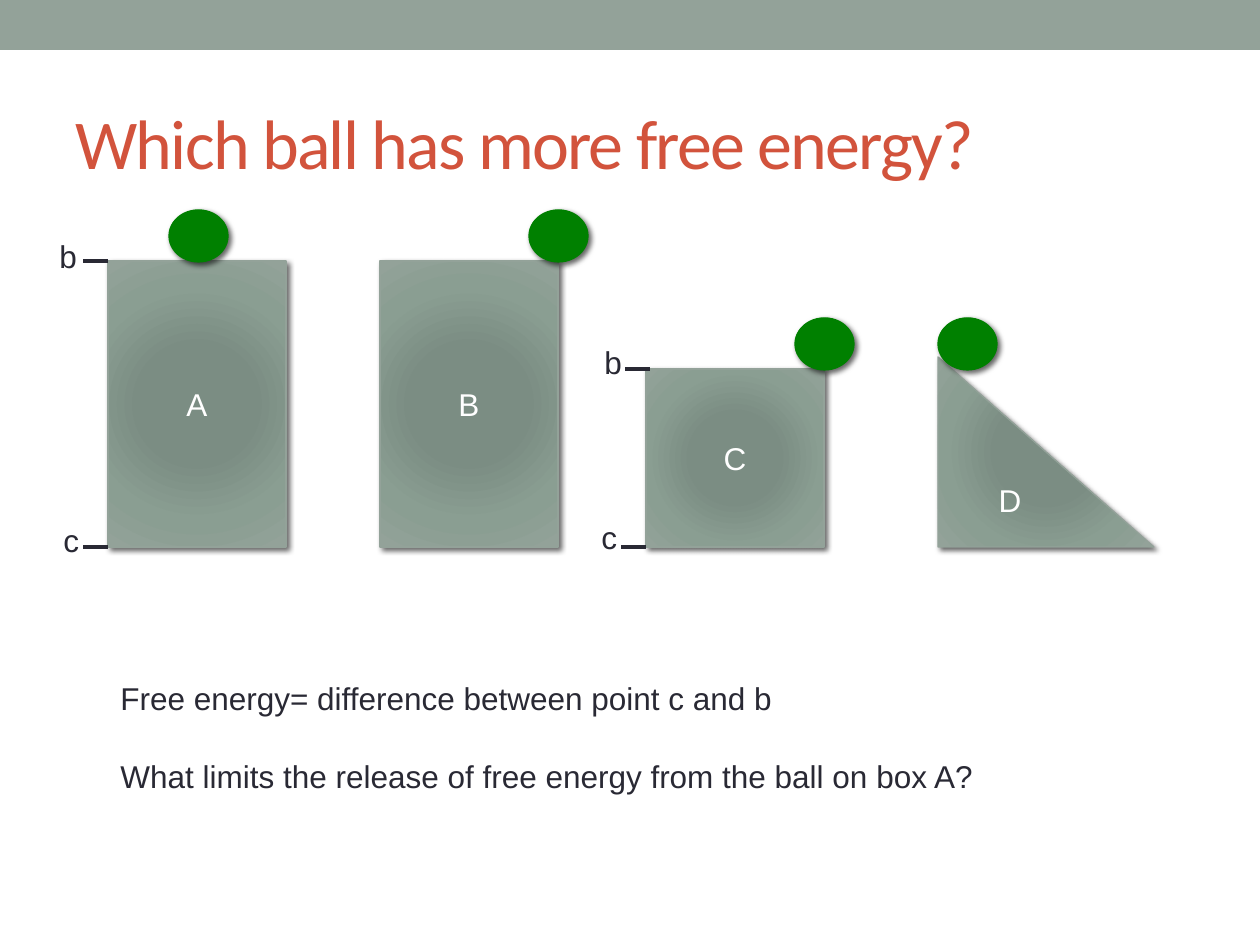
from pptx import Presentation
from pptx.dml.color import RGBColor
from pptx.enum.shapes import MSO_CONNECTOR, MSO_SHAPE
from pptx.enum.text import MSO_ANCHOR, PP_ALIGN
from pptx.oxml import parse_xml
from pptx.oxml.ns import nsdecls
from pptx.util import Pt

PX = 914400 / 126
SAGE = RGBColor(0x93, 0xA2, 0x99)
RUST = RGBColor(0xD2, 0x53, 0x3C)
GREEN = RGBColor(0x00, 0x80, 0x00)
INK = RGBColor(0x29, 0x29, 0x34)
WHITE = RGBColor(0xFF, 0xFF, 0xFF)
STOPS = [(0, "7B8E82"), (34, "7B8D83"), (70, "8A9E92"), (100, "93A299")]
GRADIENT = (
    f'<a:gradFill {nsdecls("a")} rotWithShape="1"><a:gsLst>'
    + "".join(f'<a:gs pos="{pos * 1000}"><a:srgbClr val="{c}"/></a:gs>' for pos, c in STOPS)
    + '</a:gsLst><a:path path="circle">'
    '<a:fillToRect l="100000" t="100000" r="100000" b="100000"/></a:path></a:gradFill>'
)
SHADOW = (
    f'<a:effectLst {nsdecls("a")}><a:outerShdw blurRad="38100" dist="25400" dir="2700000" '
    'rotWithShape="0"><a:srgbClr val="000000"><a:alpha val="60000"/></a:srgbClr>'
    '</a:outerShdw></a:effectLst>'
)

prs = Presentation()
prs.slide_width, prs.slide_height = round(1260 * PX), round(945 * PX)
s = prs.slides.add_slide(prs.slide_layouts[6])


def add_shape(kind, *box):
    sp = s.shapes.add_shape(kind, *[round(v * PX) for v in box])
    sp.line.color.rgb = SAGE
    sp.line.width = Pt(0.75)
    sp.shadow.inherit = False
    return sp


def add_text(text, box, size=18, font="Arial", color=INK, wrap=False):
    sp = s.shapes.add_textbox(*[round(v * PX) for v in box])
    tf = sp.text_frame
    tf.word_wrap = wrap
    tf.text = text
    for p in tf.paragraphs:
        p.font.size = Pt(size)
        for r in p.runs:
            r.font.size = Pt(size)
            r.font.name = font
            r.font.color.rgb = color
    return tf


band = add_shape(MSO_SHAPE.RECTANGLE, 0, 0, 1260, 50)
band.fill.solid()
band.fill.fore_color.rgb = SAGE
band.line.fill.background()

tf = add_text("Which ball has more free energy?", (63, 73, 1134, 136), 40, "Calibri", RUST, True)
tf.vertical_anchor = MSO_ANCHOR.MIDDLE
tf.paragraphs[0].runs[0].font._element.set("spc", "-100")

FLOOR = 547
blocks = [
    ("A", MSO_SHAPE.RECTANGLE, 108, 178, 286),
    ("B", MSO_SHAPE.RECTANGLE, 380, 178, 286),
    ("C", MSO_SHAPE.RECTANGLE, 646, 178, 178),
    ("D", MSO_SHAPE.RIGHT_TRIANGLE, 938, 216, 190),
]
for name, kind, x, w, h in blocks:
    sp = add_shape(kind, x, FLOOR - h, w, h)
    sp._element.spPr.insert(2, parse_xml(GRADIENT))
    sp._element.spPr.replace(sp._element.spPr[-1], parse_xml(SHADOW))
    tf = sp.text_frame
    tf.text = name
    tf.vertical_anchor = MSO_ANCHOR.MIDDLE
    p = tf.paragraphs[0]
    p.alignment = PP_ALIGN.CENTER
    r = p.runs[0]
    r.font.size = Pt(18)
    r.font.name = "Arial"
    r.font.color.rgb = WHITE

for x, y in [(169, 210), (529, 210), (795, 318), (938, 318)]:
    sp = add_shape(MSO_SHAPE.OVAL, x, y, 59, 52)
    sp.fill.solid()
    sp.fill.fore_color.rgb = GREEN
    sp.line.color.rgb = GREEN
    sp._element.spPr.replace(sp._element.spPr[-1], parse_xml(SHADOW))

tf = add_text(
    "Free energy= difference between point c and b\n"
    "What limits the release of free energy from the ball on box A?",
    (108, 673, 887, 127),
)
tf.paragraphs[1].space_before = Pt(23)

marks = [
    ("b", 47, 231, 83, 261),
    ("c", 51, 515, 83, FLOOR),
    ("b", 592, 337, 625, 369),
    ("c", 589, 512, 621, FLOOR),
]
for letter, x, y, tick_x, tick_y in marks:
    add_text(letter, (x, y, 42, 50))
    ends = [round(v * PX) for v in (tick_x + 25, tick_y, tick_x, tick_y)]
    tick = s.shapes.add_connector(MSO_CONNECTOR.STRAIGHT, *ends)
    tick.line.color.rgb = INK
    tick.line.width = Pt(2.08)
    tick._element.spPr.append(parse_xml(f'<a:effectLst {nsdecls("a")}/>'))

prs.save("out.pptx")
